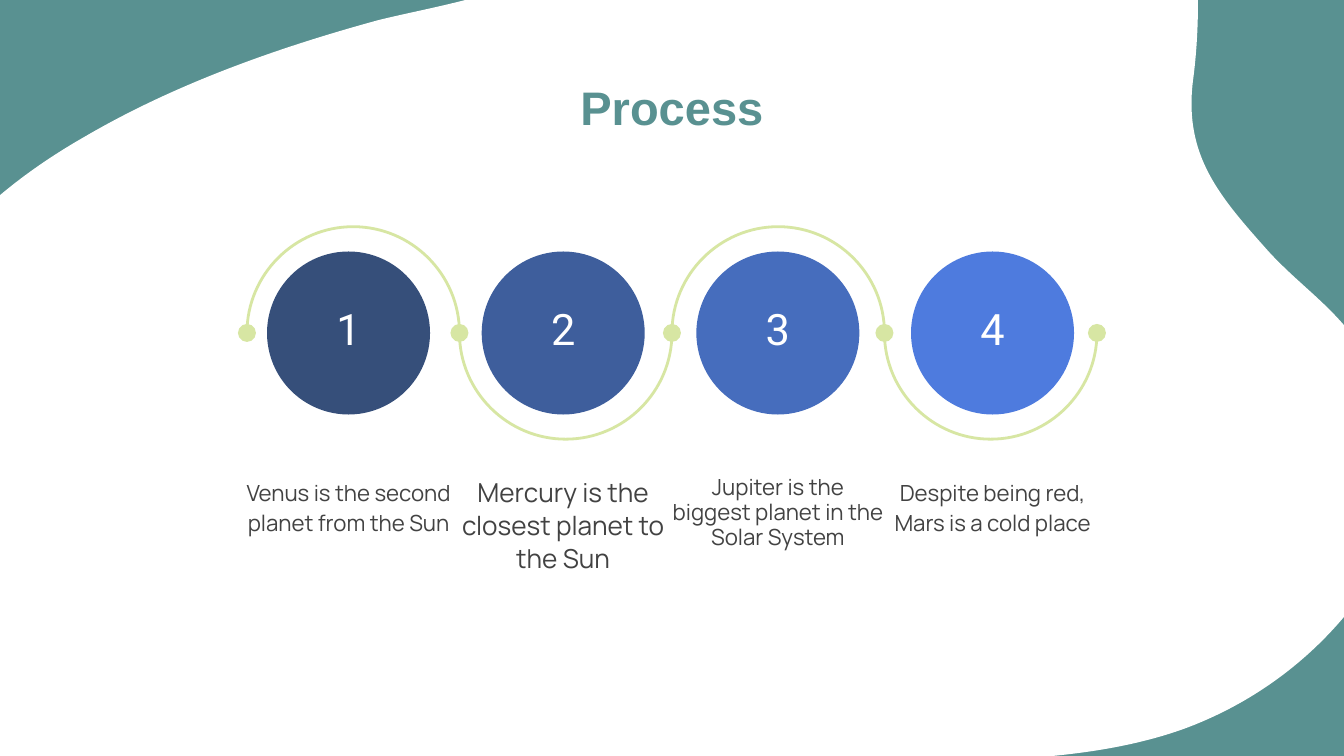
from pptx import Presentation
from pptx.dml.color import RGBColor
from pptx.enum.shapes import MSO_SHAPE
from pptx.enum.text import MSO_ANCHOR, PP_ALIGN
from pptx.oxml.ns import qn
from pptx.util import Emu, Pt
from lxml.etree import SubElement

SLIDE_WIDTH, SLIDE_HEIGHT = 1344, 756
EMU_PER_PX = 9144000 / SLIDE_WIDTH

TEAL, WHITE, LIME, GREY = "599191", "FFFFFF", "D7E6A3", "424242"

TITLE = "Process"
# number, circle colour, caption, caption size, caption line spacing
STEPS = [
    ("1", "364F7A", "Venus is the second planet from the Sun", 11.9, 1.15),
    ("2", "3E5E9C", "Mercury is the closest planet to the Sun", 14, 1.05),
    ("3", "466DBD", "Jupiter is the biggest planet in the Solar System", 11.9, 0.95),
    ("4", "4E7BDE", "Despite being red, Mars is a cold place", 11.9, 1.15),
]

# Background blob: a start point, then cubic curves (control, control, end)
BLOB_START = (1055, -282)
BLOB_CURVES = [
    ((1011, -300), (954, -306), (882, -294)),
    ((766, -274), (679, -181), (616, -90)),
    ((562, -11), (461, 0), (379, 20)),
    ((280, 47), (177, 83), (86, 136)),
    ((-102, 243), (-153, 388), (-137, 569)),
    ((-132, 624), (-121, 710), (-23, 806)),
    ((13, 843), (55, 871), (99, 888)),
    ((214, 937), (351, 926), (505, 875)),
    ((555, 859), (602, 833), (649, 814)),
    ((700, 794), (753, 781), (806, 773)),
    ((931, 755), (1063, 771), (1181, 730)),
    ((1245, 707), (1301, 668), (1344, 617)),
    ((1399, 554), (1417, 469), (1384, 392)),
    ((1355, 319), (1312, 298), (1270, 253)),
    ((1219, 196), (1184, 156), (1193, 81)),
    ((1206, -15), (1204, -219), (1055, -282)),
]

WAVE_LEFT, WAVE_WIDTH, AXIS_Y = 247, 850, 333
WAVE_PITCH = WAVE_WIDTH / len(STEPS)
QUARTER_CURVE = 0.55  # control length of a quarter circle, per radius
DOT_SIZE = 18
CIRCLE_LEFT, CIRCLE_SPAN, CIRCLE_SIZE = 267, 644, 163
CIRCLE_PITCH = CIRCLE_SPAN / (len(STEPS) - 1)
NUMBER_HEIGHT = 70
CAPTION_TOP, CAPTION_WIDTH, CAPTION_HEIGHT = 461, 241, 130
INSET = 14


def px(length):
    return Emu(round(length * EMU_PER_PX))


def rgb(color):
    return RGBColor.from_string(color)


def half_circle(left, direction):
    """Start and curves from left to right; direction is -1 over the axis, 1 under it."""
    radius = WAVE_PITCH / 2
    middle, right = left + radius, left + 2 * radius
    peak = AXIS_Y + direction * radius
    handle = radius * QUARTER_CURVE
    shoulder = AXIS_Y + direction * handle
    return (left, AXIS_Y), [
        ((left, shoulder), (middle - handle, peak), (middle, peak)),
        ((middle + handle, peak), (right, shoulder), (right, AXIS_Y)),
    ]


def add_curve(slide, start, curves, close):
    """Draws a freeform through all points, then joins each three lines into a curve."""
    points = [(px(x), px(y)) for x, y in [start, *(p for curve in curves for p in curve)]]
    builder = slide.shapes.build_freeform(*points[0], scale=1.0)
    builder.add_line_segments(points[1:], close=False)
    outline = builder.convert_to_shape()
    outline.shadow.inherit = False
    path = next(outline._element.iter(qn("a:path")))
    lines = path.findall(qn("a:lnTo"))
    for first in range(0, len(lines), 3):
        bezier = SubElement(path, qn("a:cubicBezTo"))
        for line in lines[first:first + 3]:
            bezier.append(line[0])
            path.remove(line)
    if close:
        SubElement(path, qn("a:close"))
    return outline


def paint(shape, color):
    shape.fill.solid()
    shape.fill.fore_color.rgb = rgb(color)
    shape.line.fill.background()


def add_disc(slide, center_x, size, color):
    disc = slide.shapes.add_shape(MSO_SHAPE.OVAL, px(center_x - size / 2),
                                  px(AXIS_Y - size / 2), px(size), px(size))
    disc.shadow.inherit = False
    paint(disc, color)


def add_text(slide, text, box, font_name, size, color, spacing=1.0,
             anchor=MSO_ANCHOR.TOP, bold=False):
    frame = slide.shapes.add_textbox(*map(px, box)).text_frame
    frame.word_wrap = True
    frame.vertical_anchor = anchor
    frame.margin_left = frame.margin_right = px(INSET)
    frame.margin_top = frame.margin_bottom = px(INSET)
    paragraph = frame.paragraphs[0]
    paragraph.text = text
    paragraph.alignment = PP_ALIGN.CENTER
    paragraph.line_spacing = spacing
    paragraph.font.name = font_name
    paragraph.font.size = Pt(size)
    paragraph.font.bold = bold
    paragraph.font.color.rgb = rgb(color)


def main():
    deck = Presentation()
    deck.slide_width, deck.slide_height = px(SLIDE_WIDTH), px(SLIDE_HEIGHT)
    slide = deck.slides.add_slide(deck.slide_layouts[6])
    slide.background.fill.solid()
    slide.background.fill.fore_color.rgb = rgb(TEAL)
    paint(add_curve(slide, BLOB_START, BLOB_CURVES, close=True), WHITE)

    centers = [CIRCLE_LEFT + CIRCLE_SIZE / 2 + CIRCLE_PITCH * i for i in range(len(STEPS))]
    for center, (_, color, *_) in zip(centers, STEPS):
        add_disc(slide, center, CIRCLE_SIZE, color)

    for i in range(len(STEPS)):
        start, curves = half_circle(WAVE_LEFT + WAVE_PITCH * i, 1 if i % 2 else -1)
        arc = add_curve(slide, start, curves, close=False)
        arc.fill.background()
        arc.line.color.rgb = rgb(LIME)
        arc.line.width = Pt(1.5)
    for i in range(len(STEPS) + 1):
        add_disc(slide, WAVE_LEFT + WAVE_PITCH * i, DOT_SIZE, LIME)

    add_text(slide, TITLE, (101, 65, 1142, 85), "Arial", 25.2, TEAL, bold=True)
    for center, (number, _, caption, size, spacing) in zip(centers, STEPS):
        number_box = (center - CIRCLE_SIZE / 2, AXIS_Y - NUMBER_HEIGHT / 2,
                      CIRCLE_SIZE, NUMBER_HEIGHT)
        caption_box = (center - CAPTION_WIDTH / 2, CAPTION_TOP, CAPTION_WIDTH, CAPTION_HEIGHT)
        add_text(slide, number, number_box, "Roboto", 23.2, WHITE, 0.8, MSO_ANCHOR.MIDDLE)
        add_text(slide, caption, caption_box, "Manrope", size, GREY, spacing)

    deck.save("out.pptx")


if __name__ == "__main__":
    main()
